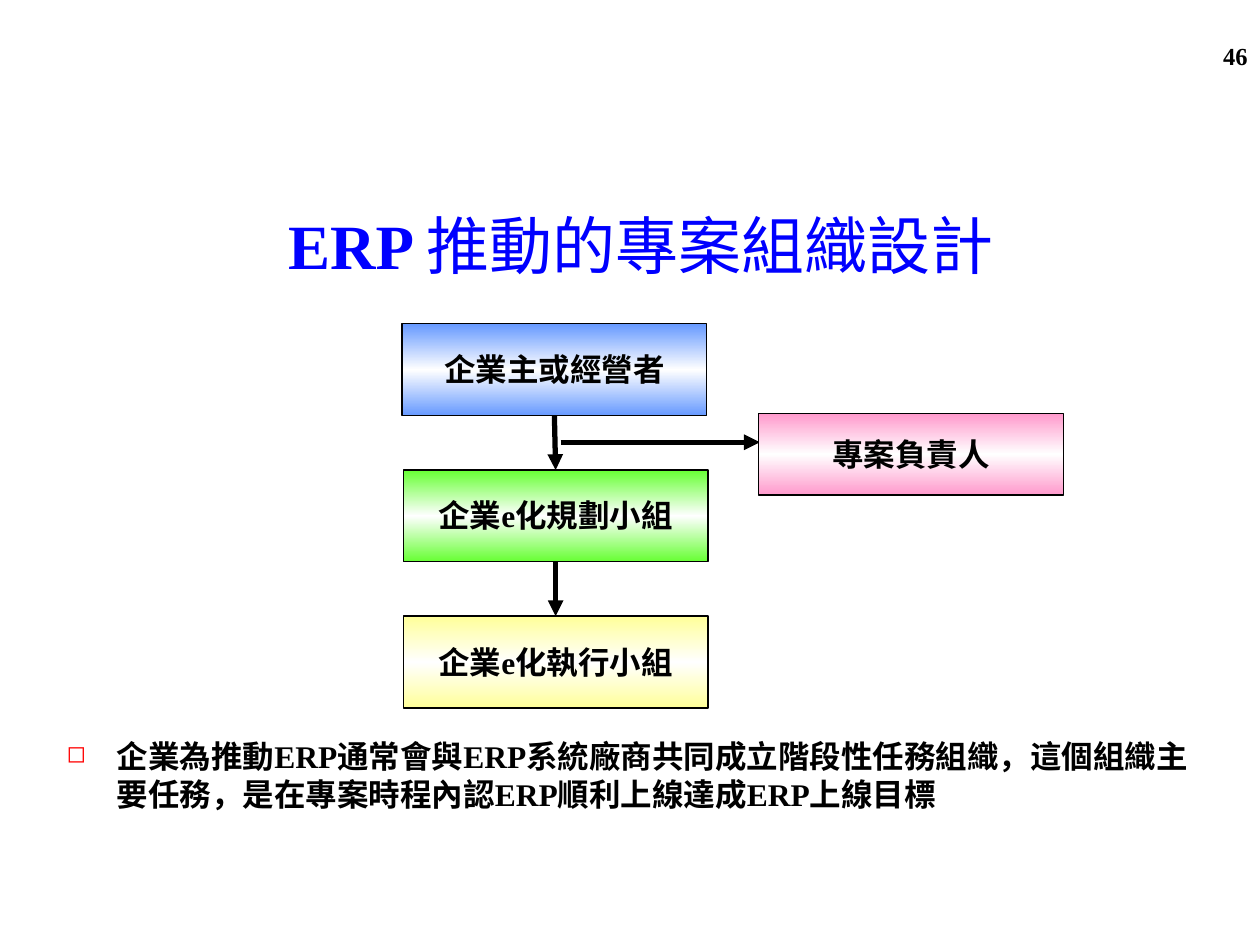
from copy import deepcopy

from pptx import Presentation
from pptx.dml.color import RGBColor
from pptx.enum.shapes import MSO_CONNECTOR, MSO_SHAPE
from pptx.enum.text import MSO_ANCHOR, PP_ALIGN
from pptx.oxml.ns import qn
from pptx.util import Inches, Pt
from lxml.etree import SubElement

COLORS = {
    "black": "000000", "white": "FFFFFF", "title": "0000FF", "bullet": "FF0000",
    "owner": "6699FF", "planning": "66FF33", "execution": "FFFF99", "leader": "FF99CC",
}
LATIN_FONT = "Times New Roman"
CJK_FONT = "Noto Sans CJK JP"
BOX_WIDTH = 2.42
TOP, LEFT, BOTTOM = 0, 1, 2


def rgb(name):
    return RGBColor.from_string(COLORS[name])


def style_font(font, size, color="black"):
    font.name = LATIN_FONT
    font.size = Pt(size)
    font.bold = True
    font.color.rgb = rgb(color)


def add_text(slide, text, left, top, width, height, size, align=PP_ALIGN.LEFT, color="black"):
    frame = slide.shapes.add_textbox(
        Inches(left), Inches(top), Inches(width), Inches(height)).text_frame
    frame.word_wrap = True
    paragraph = frame.paragraphs[0]
    paragraph.text = text
    paragraph.alignment = align
    style_font(paragraph.font, size, color)
    return frame


def fill_band(shape, color):
    """Vertical gradient: colour, white in the middle, colour."""
    shape.fill.gradient()
    shape.fill.gradient_angle = 90
    stops = shape.fill._fill._gradFill.find(qn("a:gsLst"))
    stops.insert(1, deepcopy(stops[0]))
    bands = zip(shape.fill.gradient_stops, (0, 0.5, 1), (color, "white", color))
    for stop, position, name in bands:
        stop.position = position
        stop.color.rgb = rgb(name)


def add_box(slide, text, color, left, top, height=0.73, inset=0.21):
    box = slide.shapes.add_shape(
        MSO_SHAPE.RECTANGLE, Inches(left), Inches(top), Inches(BOX_WIDTH), Inches(height))
    box.shadow.inherit = False
    fill_band(box, color)
    box.line.color.rgb = rgb("black")
    box.line.width = Pt(0.75)
    frame = box.text_frame
    frame.word_wrap = True
    frame.vertical_anchor = MSO_ANCHOR.TOP
    frame.margin_top = frame.margin_bottom = Inches(inset)
    paragraph = frame.paragraphs[0]
    paragraph.text = text
    paragraph.alignment = PP_ALIGN.CENTER
    style_font(paragraph.font, 18)
    return box


def add_arrow(slide, start=(0, 0), end=(0, 0)):
    arrow = slide.shapes.add_connector(
        MSO_CONNECTOR.STRAIGHT, *(Inches(value) for value in (*start, *end)))
    arrow.line.color.rgb = rgb("black")
    arrow.line.width = Pt(3)
    SubElement(arrow.line._get_or_add_ln(), qn("a:tailEnd"), type="triangle")
    SubElement(arrow._element.spPr, qn("a:effectLst"))
    return arrow


def join_boxes(slide, upper, lower):
    arrow = add_arrow(slide)
    arrow.begin_connect(upper, BOTTOM)
    arrow.end_connect(lower, TOP)


def add_bullet(paragraph, symbol, color, percent, indent):
    properties = paragraph._p.get_or_add_pPr()
    properties.set("marL", str(Inches(indent)))
    properties.set("indent", str(-Inches(indent)))
    bullet = [SubElement(properties, qn("a:buClr"))]
    SubElement(bullet[0], qn("a:srgbClr"), val=COLORS[color])
    bullet.append(SubElement(properties, qn("a:buSzPct"), val=str(percent * 1000)))
    bullet.append(SubElement(properties, qn("a:buChar"), char=symbol))
    # Bullet settings come before the paragraph's font
    for position, element in enumerate(bullet):
        properties.insert(position, element)


def main():
    presentation = Presentation()
    presentation.slide_width = Inches(10)
    presentation.slide_height = Inches(7.5)
    slide = presentation.slides.add_slide(presentation.slide_layouts[6])

    # Page number and title
    add_text(slide, "46", 7.67, 0.28, 2.33, 0.52, 14, PP_ALIGN.RIGHT)
    title = add_text(slide, "ERP ", 1.09, 1.33, 7.99, 1.22, 36, PP_ALIGN.CENTER, "title")
    title.vertical_anchor = MSO_ANCHOR.MIDDLE
    subject = title.paragraphs[0].add_run()
    subject.text = "推動的專案組織設計"
    subject.font.name = CJK_FONT
    subject.font.bold = False

    # Project organisation
    owner = add_box(slide, "企業主或經營者", "owner", 3.19, 2.57)
    planning = add_box(slide, "企業e化規劃小組", "planning", 3.2, 3.73)
    execution = add_box(slide, "企業e化執行小組", "execution", 3.2, 4.89)
    join_boxes(slide, owner, planning)
    join_boxes(slide, planning, execution)
    add_arrow(slide, (4.45, 3.51), (6.03, 3.51))
    add_box(slide, "專案負責人", "leader", 6.02, 3.28, 0.65, 0.17)

    # Explanation
    explanation = add_text(
        slide,
        "企業為推動ERP通常會與ERP系統廠商共同成立階段性任務組織，這個組織"
        "主要任務，是在專案時程內認ERP順利上線達成ERP上線目標",
        0.43, 5.8, 9.23, 0.7, 18)
    add_bullet(explanation.paragraphs[0], "◻", "bullet", 75, 0.4)

    presentation.save("out.pptx")


if __name__ == "__main__":
    main()
